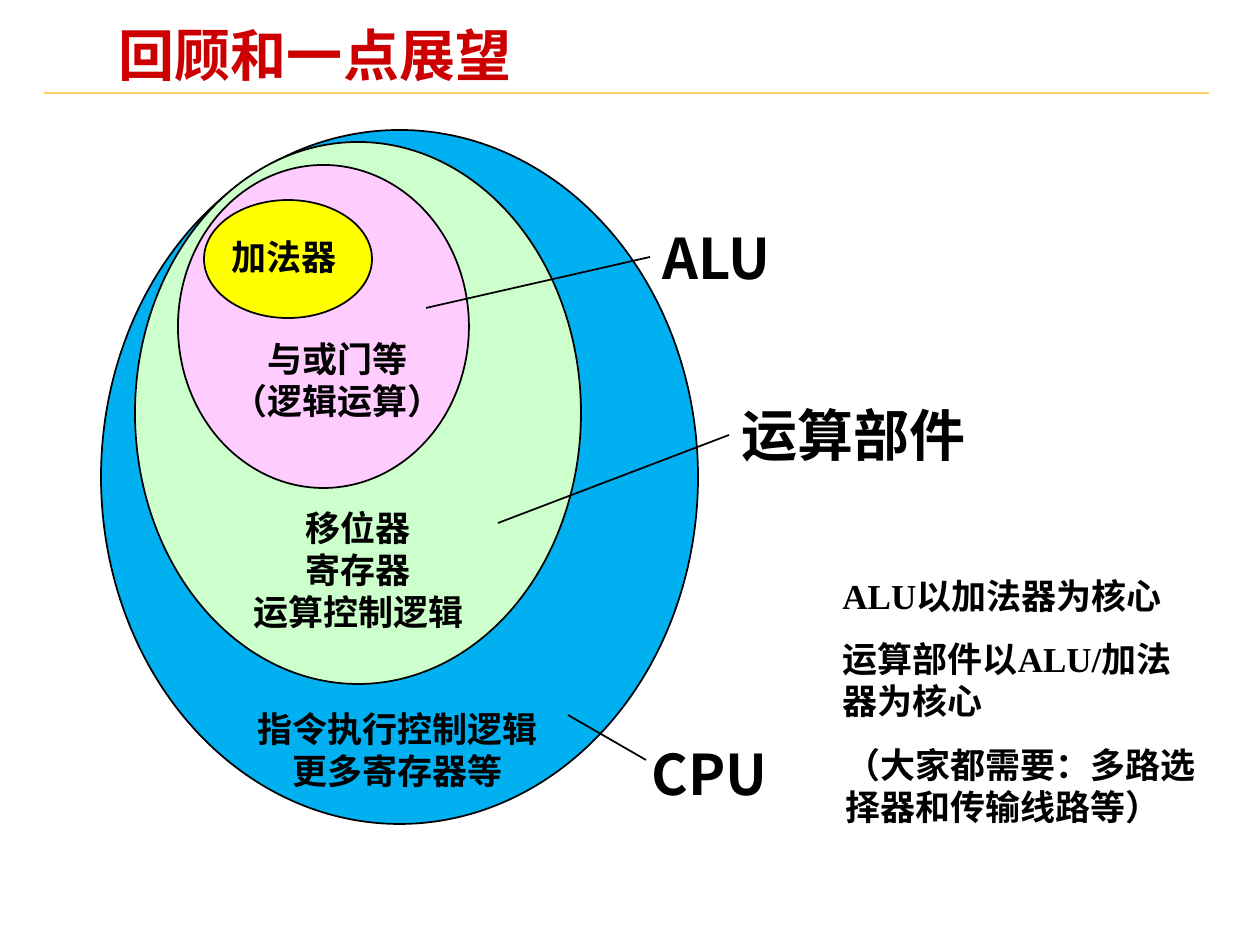
from lxml.etree import SubElement
from pptx import Presentation
from pptx.dml.color import RGBColor
from pptx.enum.shapes import MSO_CONNECTOR, MSO_SHAPE
from pptx.enum.text import MSO_ANCHOR, PP_ALIGN
from pptx.oxml.ns import qn
from pptx.util import Emu, Pt

COLORS = {
    "title": "CC0000", "rule": "FFCC66", "ink": "000000",
    "cpu": "00B0F0", "unit": "CCFFCC", "alu": "FFCCFF", "adder": "FFFF00",
}
SANS, SERIF, CJK = "Arial", "Times New Roman", "Noto Sans CJK SC"


def px(n):
    return Emu(round(n * 914400 / 126))


def rgb(name):
    return RGBColor.from_string(COLORS[name])


def add_run(p, text, size, font, color="ink"):
    r = p.add_run()
    r.text = text
    r.font.size = Pt(size)
    r.font.bold = True
    r.font.name = font
    r.font.color.rgb = rgb(color)
    SubElement(r.font._element, qn("a:ea")).set("typeface", CJK)


def add_text(s, x, y, w, h, lines, size=20, font=SERIF,
             align=PP_ALIGN.LEFT, gap=0, wrap=True):
    tf = s.shapes.add_textbox(px(x), px(y), px(w), px(h)).text_frame
    tf.word_wrap = wrap
    for i, line in enumerate(lines):
        p = tf.add_paragraph() if i else tf.paragraphs[0]
        p.alignment = align
        if i and gap:
            p.space_before = Pt(gap)
        add_run(p, line, size, font)


def add_line(s, x1, y1, x2, y2, color="ink"):
    line = s.shapes.add_connector(MSO_CONNECTOR.STRAIGHT, px(x1), px(y1), px(x2), px(y2))
    line.line.color.rgb = rgb(color)
    line.line.width = Pt(1)
    SubElement(line._element.spPr, qn("a:effectLst"))


def add_ellipse(s, x, y, w, h, fill):
    sp = s.shapes.add_shape(MSO_SHAPE.OVAL, px(x), px(y), px(w), px(h))
    sp.shadow.inherit = False
    sp.fill.solid()
    sp.fill.fore_color.rgb = rgb(fill)
    sp.line.color.rgb = rgb("ink")
    sp.line.width = Pt(1)


def add_header(s, x, y, w):
    # Rule under the title
    add_line(s, x, y + 67, x + w, y + 67, "rule")
    title = s.shapes.title
    title.left, title.top, title.width, title.height = px(x + 66), px(y), px(837), px(66)
    tf = title.text_frame
    tf.word_wrap = True
    tf.vertical_anchor = MSO_ANCHOR.MIDDLE
    tf.margin_left = tf.margin_right = px(9)
    tf.margin_top = tf.margin_bottom = px(4)
    p = tf.paragraphs[0]
    p.alignment = PP_ALIGN.LEFT
    p.line_spacing = 0.87
    add_run(p, "回顾和一点展望", 32, SANS, "title")


def add_nested_ellipses(s, x, y):
    # Each layer: ellipse box, fill, then caption box and lines
    layers = [
        ((0, 0, 597, 694), "cpu", (132, 571, 329, 97), ["指令执行控制逻辑", "更多寄存器等"]),
        ((34, 12, 446, 542), "unit", (122, 370, 271, 139), ["移位器", "寄存器", "运算控制逻辑"]),
        ((77, 35, 291, 323), "alu", (101, 201, 271, 97), ["与或门等", "（逻辑运算）"]),
        ((103, 70, 168, 118), "adder", (118, 99, 130, 55), ["加法器"]),
    ]
    for (ex, ey, ew, eh), fill, (tx, ty, tw, th), lines in layers:
        add_ellipse(s, x + ex, y + ey, ew, eh, fill)
        add_text(s, x + tx, y + ty, tw, th, lines, align=PP_ALIGN.CENTER,
                 wrap=len(lines) > 1)

    # Callouts: leader line, then label box
    callouts = [
        ("ALU", (325, 178, 549, 127), (549, 87, 151)),
        ("运算部件", (397, 393, 628, 305), (628, 264, 262)),
        ("CPU", (467, 585, 545, 630), (538, 603, 262)),
    ]
    for label, (x1, y1, x2, y2), (lx, ly, lw) in callouts:
        add_line(s, x + x1, y + y1, x + x2, y + y2)
        add_text(s, x + lx, y + ly, lw, 81, [label], 32, CJK)


def add_notes(s, x, y):
    add_text(s, x, y, 362, 160, ["ALU以加法器为核心", "运算部件以ALU/加法器为核心"], gap=12)
    add_text(s, x + 3, y + 169, 394, 97, ["（大家都需要：多路选择器和传输线路等）"])


def main():
    prs = Presentation()
    prs.slide_width, prs.slide_height = px(1260), px(945)
    s = prs.slides.add_slide(prs.slide_layouts[5])
    add_header(s, 44, 26, 1165)
    add_nested_ellipses(s, 101, 130)
    add_notes(s, 830, 568)
    prs.save("out.pptx")


if __name__ == "__main__":
    main()
